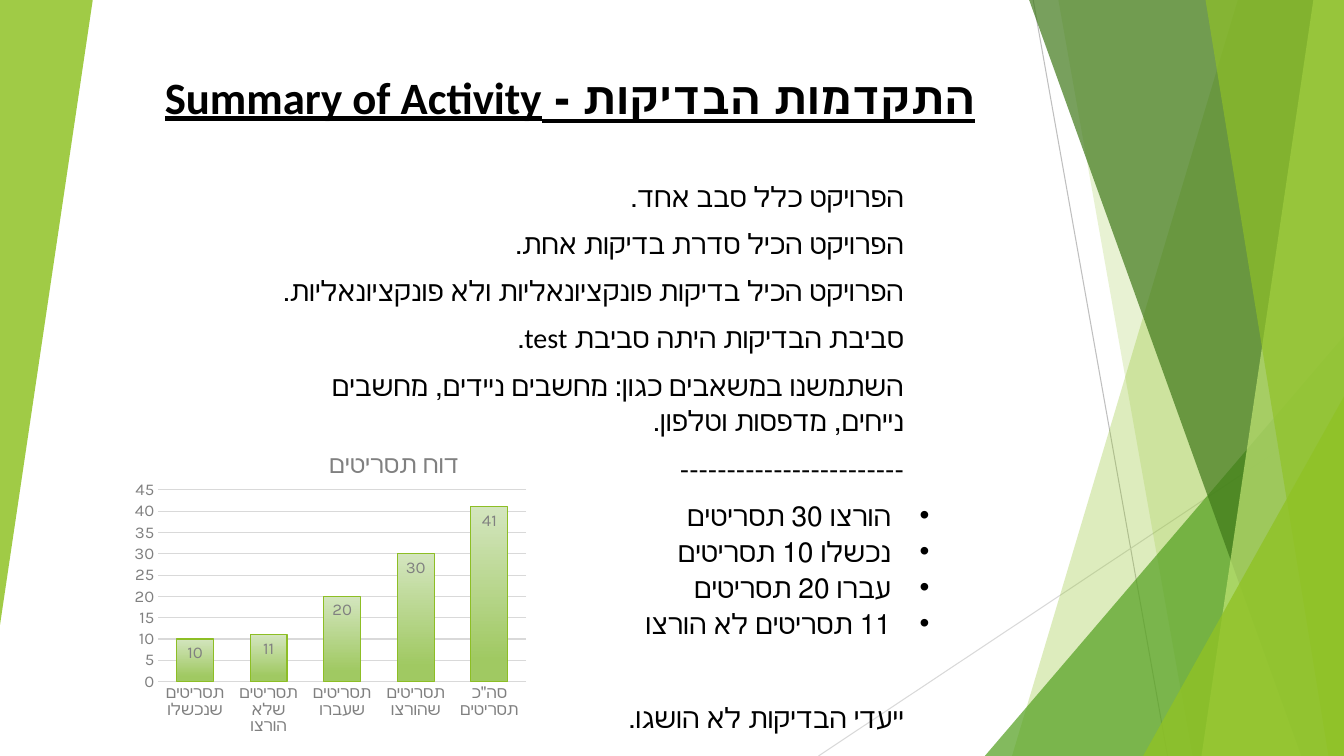
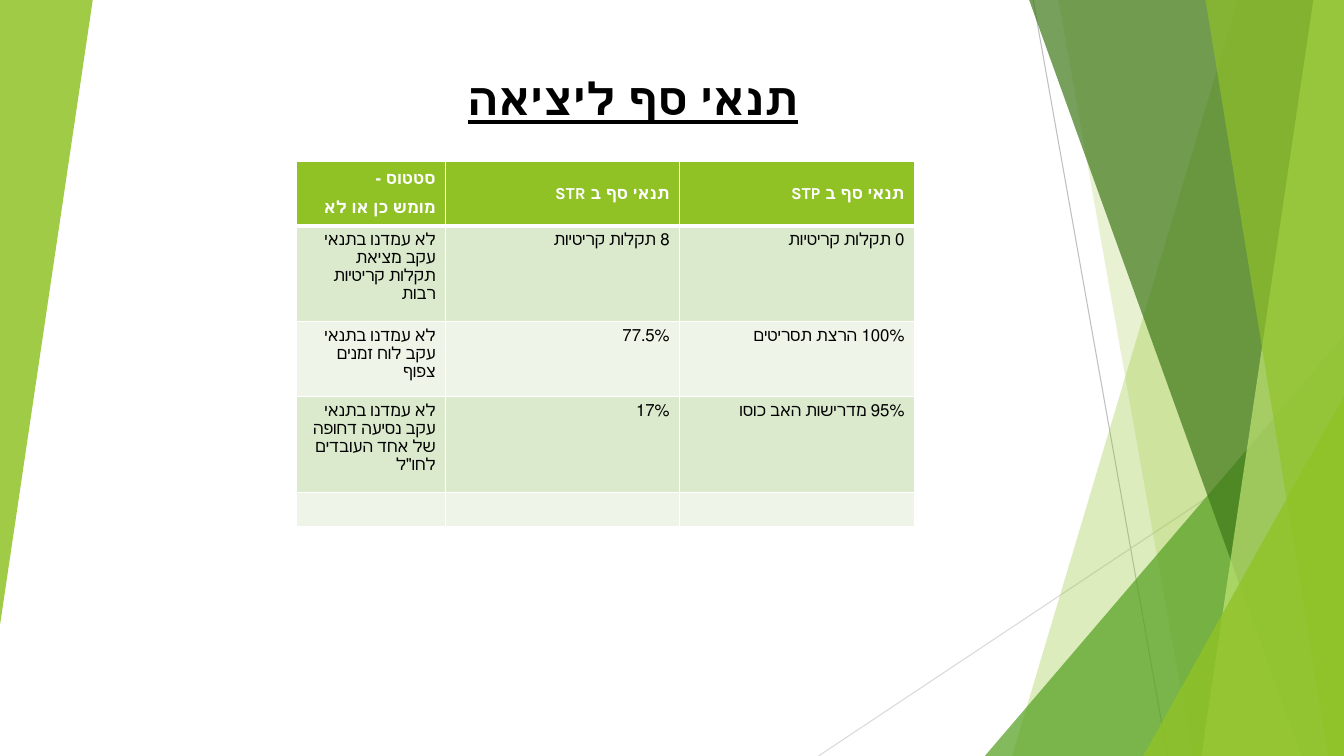
from lxml import etree
from pptx import Presentation
from pptx import util as u
from pptx.chart.data import CategoryChartData
from pptx.dml.color import RGBColor
from pptx.enum import chart as charts, shapes, text
from pptx.oxml import ns

COLORS = {
    "black": "000000", "white": "FFFFFF", "grey": "808080",
    "rule": "BFBFBF", "pale rule": "D9D9D9",
    "lime": "90C226", "green": "54A021", "forest": "3F7819", "pale lime": "C0E474",
    "bar top": "D3E5BE", "bar bottom": "A0C962", "bar edge": "8DBE25",
    "row odd": "DBE9CD", "row even": "EEF4E8",
}
TEXT_FONT, DATA_FONT = "Calibri", "Karla"
COLUMNS, ROWS = 40, 22.5
CELL = u.Inches(1) / 3
TITLE_LAYOUT, TITLE_AND_BODY_LAYOUT = 5, 1


def grid(*lengths):
    """Turn grid columns or rows into EMU."""
    return [u.Emu(round(length * CELL)) for length in lengths]


def rgb(name):
    return RGBColor.from_string(COLORS[name])


def add_xml(parent, tag, **attributes):
    return etree.SubElement(parent, ns.qn(tag), attributes)


def style_font(font, size, color, name, bold=False, underline=False):
    font.size, font.name = u.Pt(size), name
    font.bold, font.underline = bold, underline
    font.color.rgb = rgb(color)


def style_line(line, color, width=0.75):
    line.color.rgb = rgb(color)
    line.width = u.Pt(width)


class HebrewDeck:
    def __init__(self):
        self.deck = Presentation()
        self.deck.slide_width, self.deck.slide_height = grid(COLUMNS, ROWS)
        self.page = None

    def add_page(self, layout):
        self.page = self.deck.slides.add_slide(self.deck.slide_layouts[layout])

    def rule(self, color, *ends):
        line = self.page.shapes.add_connector(shapes.MSO_CONNECTOR.STRAIGHT, *grid(*ends))
        style_line(line.line, color)
        add_xml(line.element.spPr, "a:effectLst")

    def tint(self, shape, color, opacity):
        """Fill a borderless shape with a colour at an opacity in percent."""
        shape.shadow.inherit = False
        shape.line.fill.background()
        shape.fill.solid()
        shape.fill.fore_color.rgb = rgb(color)
        paint = shape.element.spPr.find(".//" + ns.qn("a:srgbClr"))
        add_xml(paint, "a:alpha", val=str(opacity * 1000))

    def band(self, top, bottom, color, opacity):
        """Fill from a slanted left edge to the right edge of the slide."""
        corners = [grid(*corner) for corner in
                   ((top, 0), (COLUMNS, 0), (COLUMNS, ROWS), (bottom, ROWS))]
        outline = self.page.shapes.build_freeform(*corners[0])
        outline.add_line_segments(corners[1:], close=True)
        self.tint(outline.convert_to_shape(), color, opacity)

    def wedge(self, left, top, width, height, color, opacity, rotation=0):
        shape = self.page.shapes.add_shape(
            shapes.MSO_SHAPE.ISOSCELES_TRIANGLE, *grid(left, top, width, height))
        shape.adjustments[0] = 1
        shape.rotation = rotation
        self.tint(shape, color, opacity)

    def corner_wedge(self, left, top, color, opacity):
        self.wedge(left, top, COLUMNS - left, ROWS - top, color, opacity)

    def decorate_master(self):
        """Draw the facets on the current page, then move them to the master."""
        placeholders = len(self.page.shapes)
        self.rule("rule", 30.75, 0, 34.75, ROWS)
        self.rule("pale rule", COLUMNS, 12.1, 24.36, ROWS)
        self.band(36.84, 30.12, "lime", 30)
        self.band(31.5, 35.49, "lime", 20)
        self.corner_wedge(29.31, 10, "green", 72)
        self.band(30.63, 38.73, "forest", 70)
        self.band(39.09, 35.76, "pale lime", 70)
        self.band(35.88, 39.54, "lime", 65)
        self.corner_wedge(34.02, 11.8, "lime", 80)
        self.wedge(0, 0, 2.76, 18.6, "lime", 85, rotation=180)
        for shape in list(self.page.shapes)[placeholders:]:
            self.deck.slide_master.shapes.element.append(shape.element)

    def place(self, box, area):
        box.left, box.top, box.width, box.height = grid(*area)
        frame = box.text_frame
        frame.word_wrap = True
        frame.auto_size = text.MSO_AUTO_SIZE.NONE
        frame.vertical_anchor = text.MSO_ANCHOR.TOP
        return frame

    def set_paragraph(self, para, align=text.PP_ALIGN.RIGHT, before=0, after=8,
                      indent=0, bullet=None, **font):
        """Format a right-to-left paragraph; the indent is in inches."""
        para.alignment, para.line_spacing = align, 1.07
        para.space_before, para.space_after = u.Pt(before), u.Pt(after)
        margin = u.Inches(indent)
        properties = para._p.get_or_add_pPr()
        properties.set("rtl", "1")
        properties.set("marL", str(margin))
        properties.set("indent", str(-margin if bullet else 0))
        if bullet:
            add_xml(properties, "a:buChar", char=bullet)
        else:
            add_xml(properties, "a:buNone")
        for span in para.runs:
            style_font(span.font, **font)

    def title(self, words, area):
        frame = self.place(self.page.shapes.title, area)
        frame.text = words
        self.set_paragraph(frame.paragraphs[0], text.PP_ALIGN.CENTER, size=32,
                           color="black", name=TEXT_FONT, bold=True, underline=True)

    def body(self, lines, area):
        """Fill the body from pairs of text and paragraph settings."""
        frame = self.place(self.page.placeholders[1], area)
        frame.text = "\n".join(words for words, _ in lines)
        for para, (_, settings) in zip(frame.paragraphs, lines):
            self.set_paragraph(para, size=20, color="black", name=TEXT_FONT, **settings)

    def column_chart(self, heading, values, area):
        data = CategoryChartData()
        data.categories = list(values)
        data.add_series("Series 1", list(values.values()))
        chart = self.page.shapes.add_chart(
            charts.XL_CHART_TYPE.COLUMN_CLUSTERED, *grid(*area), data).chart
        style_font(chart.font, 10, "black", DATA_FONT)
        chart.has_legend = False
        frame = chart.chart_title.text_frame
        frame.text = heading
        style_font(frame.paragraphs[0].runs[0].font, 18, "grey", DATA_FONT)
        self.chart_layout(chart.chart_title._element, x=0.38, y=0.03)
        self.chart_layout(chart._chartSpace.chart.plotArea, x=0.05, y=0.18, w=0.73, h=0.66)

        for axis in (chart.category_axis, chart.value_axis):
            axis.major_tick_mark = charts.XL_TICK_MARK.NONE
            style_font(axis.tick_labels.font, 12, "grey", DATA_FONT)
        style_line(chart.category_axis.format.line, "pale rule")
        scale = chart.value_axis
        scale.minimum_scale, scale.maximum_scale, scale.major_unit = 0, 45, 5
        scale.format.line.fill.background()
        style_line(scale.major_gridlines.format.line, "pale rule")

        plot = chart.plots[0]
        plot.gap_width, plot.overlap, plot.vary_by_categories = 100, -24, False
        plot.has_data_labels = True
        plot.data_labels.show_value = True
        plot.data_labels.position = charts.XL_LABEL_POSITION.INSIDE_END
        style_font(plot.data_labels.font, 12, "grey", DATA_FONT)
        bars = plot.series[0].format
        style_line(bars.line, "bar edge")
        bars.fill.gradient()
        bars.fill.gradient_angle = 270
        stops = (("bar top", 0), ("bar bottom", 0.88))
        for stop, (color, position) in zip(bars.fill.gradient_stops, stops):
            stop.color.rgb, stop.position = rgb(color), position

    def chart_layout(self, part, **shares):
        """Pin a chart part at shares of the chart's size."""
        layout = part.find(ns.qn("c:layout"))
        if layout is None:
            layout = etree.Element(ns.qn("c:layout"))
            text_part = part.find(ns.qn("c:tx"))
            part.insert(0 if text_part is None else 1, layout)
        manual = add_xml(layout, "c:manualLayout")
        if "w" in shares:
            add_xml(manual, "c:layoutTarget", val="inner")
        for side in "xy":
            add_xml(manual, f"c:{side}Mode", val="edge")
        for side, share in shares.items():
            add_xml(manual, f"c:{side}", val=str(share))

    def table(self, rows, left, top, widths, heights):
        table = self.page.shapes.add_table(
            len(rows), len(widths), *grid(left, top, sum(widths), sum(heights))).table
        for column, width in zip(table.columns, grid(*widths)):
            column.width = width
        for index, (row, height) in enumerate(zip(table.rows, grid(*heights))):
            row.height = height
            for cell, words in zip(row.cells, rows[index]):
                self.table_cell(cell, words, index)

    def table_cell(self, cell, words, row):
        header = row == 0
        cell.text = words
        if header:
            cell.vertical_anchor = text.MSO_ANCHOR.MIDDLE
            cell.margin_top = cell.margin_bottom = 0
        for para in cell.text_frame.paragraphs:
            self.set_paragraph(para, after=8 if words else 0, size=12, name=DATA_FONT,
                               color="white" if header else "black", bold=header)
            add_xml(para._p, "a:endParaRPr", sz="1200")
        properties = cell._tc.get_or_add_tcPr()
        for side in "LRTB":
            thick = (header and side == "B") or (row == 1 and side == "T")
            border = add_xml(properties, f"a:ln{side}", w=str(u.Pt(3 if thick else 1)))
            add_xml(add_xml(border, "a:solidFill"), "a:srgbClr", val=COLORS["white"])
        cell.fill.solid()
        cell.fill.fore_color.rgb = rgb("lime" if header else "row odd" if row % 2 else "row even")


def add_summary(deck):
    deck.add_page(TITLE_AND_BODY_LAYOUT)
    deck.decorate_master()
    deck.title("התקדמות הבדיקות - Summary of Activity", (3.51, 1.8, 26.91, 2))
    plain = {"indent": 0.25}
    item = {"indent": 0.38, "bullet": "•", "after": 0}
    deck.body([
        ("הפרויקט כלל סבב אחד.", plain),
        ("הפרויקט הכיל סדרת בדיקות אחת.", plain),
        ("הפרויקט הכיל בדיקות פונקציונאליות ולא פונקציונאליות.", plain),
        ("סביבת הבדיקות היתה סביבת test.", plain),
        ("השתמשנו במשאבים כגון: מחשבים ניידים, מחשבים נייחים, מדפסות וטלפון.", plain),
        ("------------------------", plain),
        ("הורצו 30 תסריטים", item),
        ("נכשלו 10 תסריטים", item),
        ("עברו 20 תסריטים", item),
        ("11 תסריטים לא הורצו", {**item, "after": 8}),
        ("ייעדי הבדיקות לא הושגו.", {**plain, "before": 34}),
    ], (7.83, 5.12, 20.13, 17.11))
    deck.column_chart("דוח תסריטים", {
        "תסריטים שנכשלו": 10,
        "תסריטים שלא הורצו": 11,
        "תסריטים שעברו": 20,
        "תסריטים שהורצו": 30,
        'סה"כ תסריטים': 41,
    }, (3.96, 13.02, 15, 8.85))


def add_exit_criteria(deck):
    deck.add_page(TITLE_LAYOUT)
    deck.title("תנאי סף ליציאה", (8.82, 1.83, 20.04, 2))
    deck.table([
        ("סטטוס -\nמומש כן או לא", "תנאי סף ב STR", "תנאי סף ב STP"),
        ("לא עמדנו בתנאי עקב מציאת תקלות קריטיות רבות", "8 תקלות קריטיות", "0 תקלות קריטיות"),
        ("לא עמדנו בתנאי עקב לוח זמנים צפוף", "77.5%", "100% הרצת תסריטים"),
        ('לא עמדנו בתנאי עקב נסיעה דחופה של אחד העובדים לחו"ל', "17%", "95% מדרישות האב כוסו"),
        ("", "", ""),
    ], 8.82, 4.8, (4.45, 6.96, 6.99), (1.92, 2.86, 2.23, 2.86, 1))


def main():
    deck = HebrewDeck()
    add_summary(deck)
    add_exit_criteria(deck)
    deck.deck.save("out.pptx")


if __name__ == "__main__":
    main()
